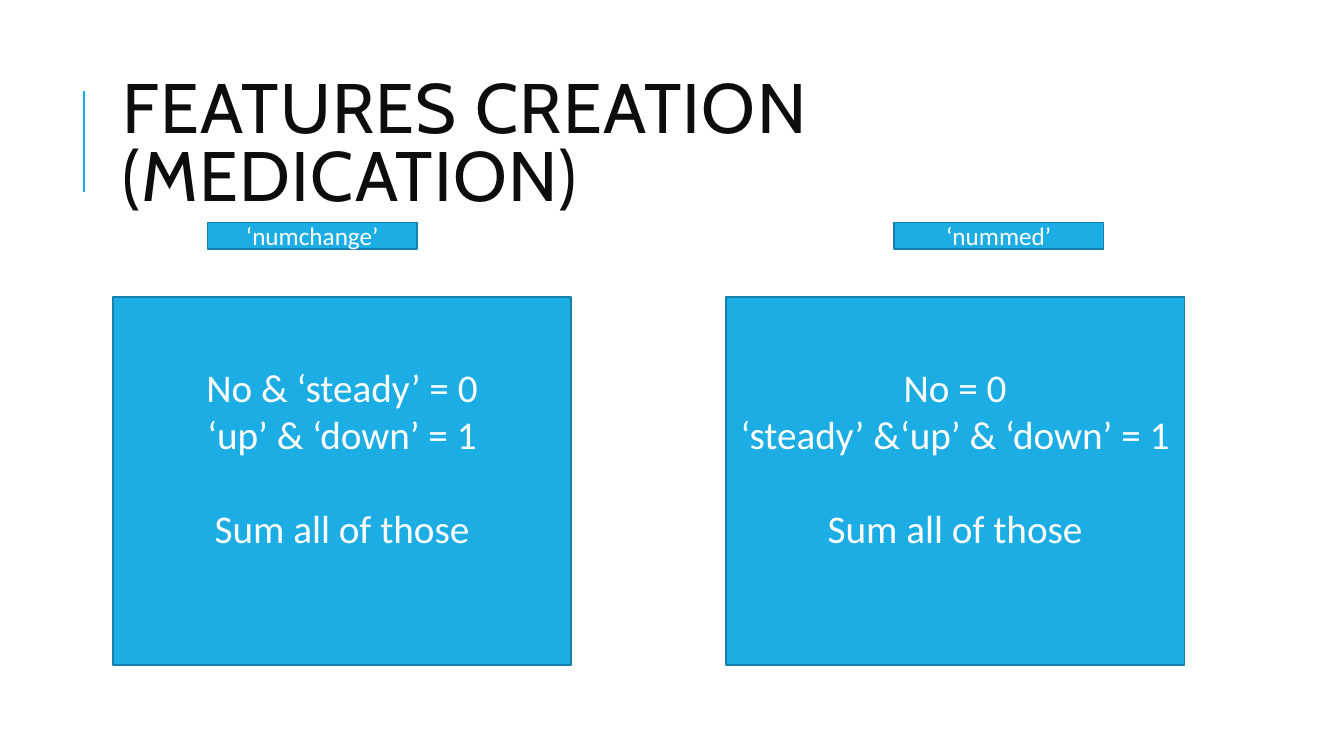
import pptx
import pptx.dml.color
import pptx.enum.shapes
import pptx.enum.text
import pptx.oxml
import pptx.oxml.ns
import pptx.util
from dataclasses import dataclass

Cm, Pt = pptx.util.Cm, pptx.util.Pt
RGB = pptx.dml.color.RGBColor
ALIGN = pptx.enum.text.PP_ALIGN
ANCHOR = pptx.enum.text.MSO_ANCHOR

TITLE = "FEATURES CREATION (MEDICATION)"
SUMMARY = "Sum all of those"
FEATURES = [
    {"name": "‘numchange’", "label_left": 5.23, "box_left": 2.84,
     "rules": ["No & ‘steady’ = 0", "‘up’ & ‘down’ = 1"]},
    {"name": "‘nummed’", "label_left": 22.53, "box_left": 18.29,
     "rules": ["No = 0", "‘steady’ &‘up’ & ‘down’ = 1"]},
]
LABEL_TOP, LABEL_SIZE = 5.61, (5.28, 0.66)
BOX_TOP, BOX_SIZE = 7.49, (11.56, 9.27)


@dataclass(frozen=True)
class Theme:
    accent: RGB = RGB(0x1C, 0xAD, 0xE4)
    outline: RGB = RGB(0x15, 0x80, 0xA9)
    ink: RGB = RGB(0x0D, 0x0D, 0x0D)
    light: RGB = RGB(0xFF, 0xFF, 0xFF)
    title_font: str = "Cabin"
    body_font: str = "Calibri"
    title_size: int = 50
    label_size: int = 18
    body_size: int = 28
    line_gap: int = 34


THEME = Theme()


def set_all(obj, values):
    for name, value in values.items():
        setattr(obj, name, value)


def write(p, text, font, size, color):
    r = p.add_run()
    r.text = text
    set_all(r.font, {"name": font, "size": Pt(size)})
    r.font.color.rgb = color
    return r


def add_title(slide):
    sp = slide.shapes.title
    set_all(sp, {"left": Cm(2.84), "top": Cm(1.63),
                 "width": Cm(27), "height": Cm(4.17)})
    tf = sp.text_frame
    set_all(tf, {"word_wrap": True, "vertical_anchor": ANCHOR.MIDDLE,
                 "auto_size": pptx.enum.text.MSO_AUTO_SIZE.NONE})
    p = tf.paragraphs[0]
    set_all(p, {"alignment": ALIGN.LEFT, "line_spacing": 0.8})
    r = write(p, TITLE, THEME.title_font, THEME.title_size, THEME.ink)
    r.font._element.set("spc", "100")


def add_title_rule(slide):
    line = slide.shapes.add_connector(
        pptx.enum.shapes.MSO_CONNECTOR.STRAIGHT,
        Cm(2.12), Cm(4.83), Cm(2.12), Cm(2.29))
    line.line.color.rgb = THEME.accent
    line.line.width = Pt(1.5)
    line._element.spPr.append(
        pptx.oxml.parse_xml(f"<a:effectLst {pptx.oxml.ns.nsdecls('a')}/>"))


def add_panel(slide, left, top, size, lines, font_size):
    sp = slide.shapes.add_shape(
        pptx.enum.shapes.MSO_SHAPE.RECTANGLE,
        Cm(left), Cm(top), *map(Cm, size))
    sp.shadow.inherit = False
    sp.fill.solid()
    sp.fill.fore_color.rgb = THEME.accent
    sp.line.color.rgb = THEME.outline
    sp.line.width = Pt(1.25)
    tf = sp.text_frame
    set_all(tf, {"word_wrap": True, "vertical_anchor": ANCHOR.MIDDLE})
    for i, text in enumerate(lines):
        p = tf.add_paragraph() if i else tf.paragraphs[0]
        p.alignment = ALIGN.CENTER
        write(p, text, THEME.body_font, font_size, THEME.light)
    return tf


def add_feature(slide, feature):
    add_panel(slide, feature["label_left"], LABEL_TOP, LABEL_SIZE,
              [feature["name"]], THEME.label_size)
    tf = add_panel(slide, feature["box_left"], BOX_TOP, BOX_SIZE,
                   feature["rules"] + [SUMMARY], THEME.body_size)
    tf.paragraphs[-1].space_before = Pt(THEME.line_gap)
    tf.margin_bottom += Pt(THEME.line_gap)


def main():
    prs = pptx.Presentation()
    set_all(prs, {"slide_width": Cm(33.87), "slide_height": Cm(19.05)})
    slide = prs.slides.add_slide(prs.slide_layouts.get_by_name("Title Only"))
    add_title_rule(slide)
    add_title(slide)
    for feature in FEATURES:
        add_feature(slide, feature)
    prs.save("out.pptx")


if __name__ == "__main__":
    main()
